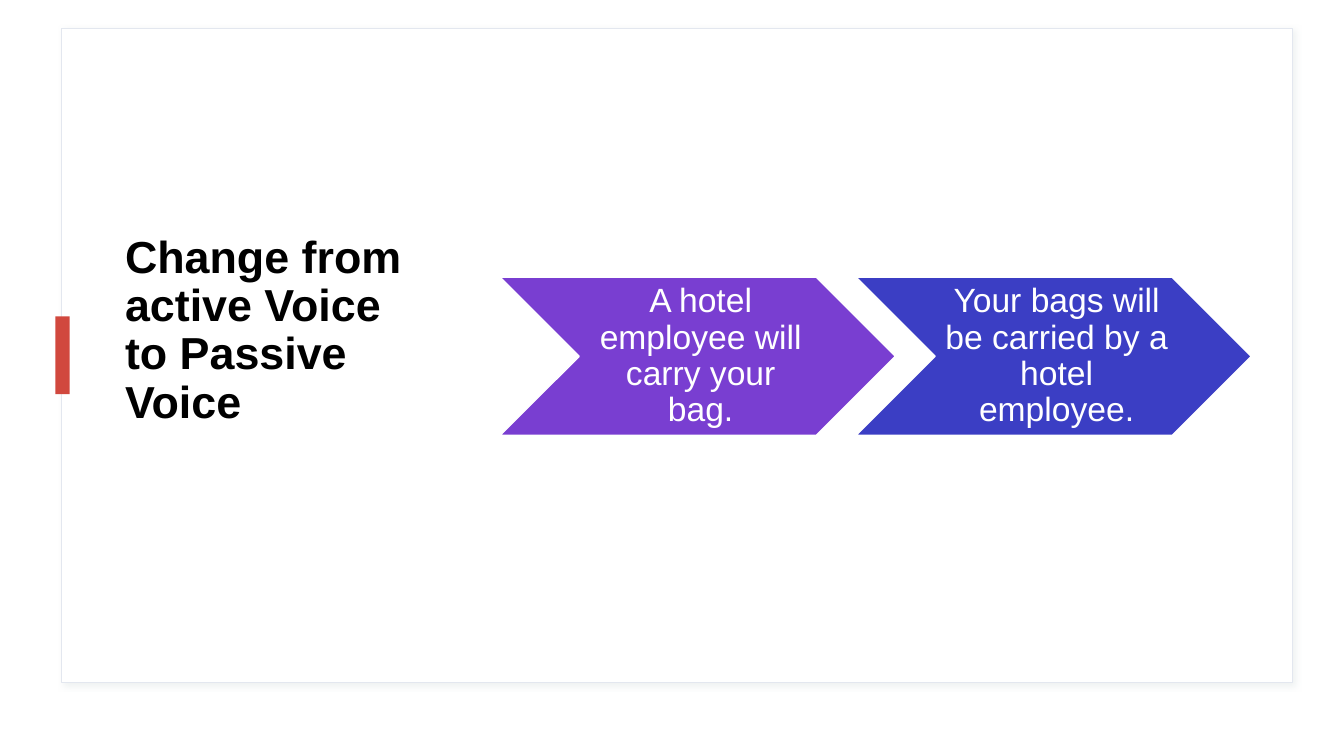
"""Build a slide that turns an active sentence into a passive one."""
from dataclasses import dataclass

from lxml import etree
from pptx import Presentation
from pptx import util as u
from pptx.dml.color import RGBColor
from pptx.enum import shapes, text
from pptx.oxml import ns

WHITE = RGBColor(0xFF, 0xFF, 0xFF)
BLACK = RGBColor(0x00, 0x00, 0x00)
FRAME_LINE = RGBColor(0xE3, 0xE7, 0xEF)
FRAME_SHADOW = RGBColor(0xC8, 0xD3, 0xD3)
RED = RGBColor(0xD1, 0x48, 0x3E)
PURPLE = RGBColor(0x79, 0x3E, 0xD1)
INDIGO = RGBColor(0x3B, 0x3E, 0xC4)

CHEVRON_LEFT, CHEVRON_STEP = 4.96, 3.53


@dataclass
class Block:
    kind: shapes.MSO_SHAPE
    left: float
    top: float
    width: float
    height: float
    fill: RGBColor
    line: RGBColor | None = None


@dataclass
class Sentence:
    wording: str
    fill: RGBColor


SENTENCES = [
    Sentence("A hotel employee will carry your bag.", PURPLE),
    Sentence("Your bags will be carried by a hotel employee.", INDIGO),
]


def draw_block(slide, block: Block):
    drawn = slide.shapes.add_shape(
        block.kind,
        *map(u.Inches, (block.left, block.top, block.width, block.height)))
    drawn.shadow.inherit = False
    drawn.fill.solid()
    drawn.fill.fore_color.rgb = block.fill
    if block.line is None:
        drawn.line.fill.background()
    else:
        drawn.line.color.rgb = block.line
        drawn.line.width = u.Pt(1)
    return drawn


def cast_shadow(block, color: RGBColor) -> None:
    effects = block.element.spPr.find(ns.qn("a:effectLst"))
    shadow = etree.SubElement(
        effects, ns.qn("a:outerShdw"), blurRad=str(u.Pt(4)),
        dist=str(u.Pt(3)), dir="2700000", algn="tl", rotWithShape="0")
    tint = etree.SubElement(shadow, ns.qn("a:srgbClr"), val=str(color))
    etree.SubElement(tint, ns.qn("a:alpha"), val="30000")


def write(holder, wording: str, align: text.PP_ALIGN, color: RGBColor,
          margins: dict[str, float], font_format: dict) -> None:
    frame = holder.text_frame
    frame.text = wording
    frame_format = {
        "word_wrap": True,
        "auto_size": text.MSO_AUTO_SIZE.NONE,
        "vertical_anchor": text.MSO_ANCHOR.MIDDLE,
        **{f"margin_{side}": u.Inches(gap) for side, gap in margins.items()},
    }
    paragraph = frame.paragraphs[0]
    paragraph_format = {"alignment": align, "line_spacing": 0.9}
    font = paragraph.runs[0].font
    for target, values in ((frame, frame_format),
                           (paragraph, paragraph_format),
                           (font, {"name": "Arial", **font_format})):
        for name, value in values.items():
            setattr(target, name, value)
    font.color.rgb = color


def place_title(slide) -> None:
    title = slide.shapes.title
    position = {"left": 1.14, "top": 0.55, "width": 3.27, "height": 5.95}
    for name, value in position.items():
        setattr(title, name, u.Inches(value))
    write(title, "Change from active Voice to Passive Voice",
          text.PP_ALIGN.LEFT, BLACK,
          {"left": 0.1, "top": 0.05, "right": 0.1, "bottom": 0.53},
          {"size": u.Pt(32), "bold": True})


def main() -> None:
    deck = Presentation()
    deck.slide_width, deck.slide_height = u.Inches(13.33), u.Inches(7.5)
    slide = deck.slides.add_slide(deck.slide_layouts[5])
    tree = slide.shapes.title.element.getparent()

    rectangle = shapes.MSO_SHAPE.RECTANGLE
    card = draw_block(slide, Block(rectangle, 0.61, 0.28, 12.21, 6.49,
                                   WHITE, FRAME_LINE))
    cast_shadow(card, FRAME_SHADOW)
    tree.append(slide.shapes.title.element)
    place_title(slide)
    draw_block(slide, Block(rectangle, 0.55, 3.14, 0.14, 0.77, RED))

    for index, sentence in enumerate(SENTENCES):
        chevron = draw_block(slide, Block(
            shapes.MSO_SHAPE.CHEVRON, CHEVRON_LEFT + index * CHEVRON_STEP,
            2.75, 3.92, 1.57, sentence.fill, WHITE))
        write(chevron, sentence.wording, text.PP_ALIGN.CENTER, WHITE,
              {"left": 0.1, "top": 0.04, "right": 0.04, "bottom": 0.04},
              {"size": u.Pt(24)})

    deck.save("out.pptx")


if __name__ == "__main__":
    main()
